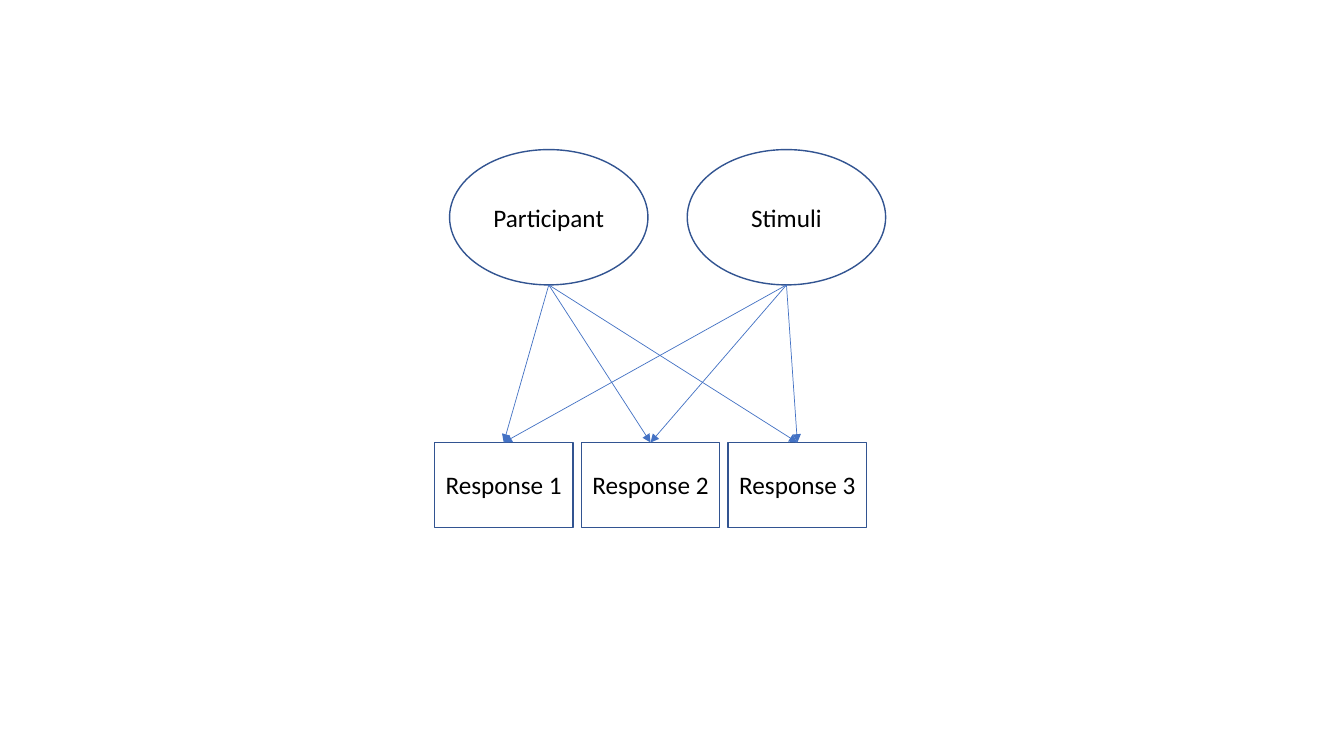
"""Build a diagram of crossed participant and stimulus effects on responses."""
from dataclasses import dataclass
from itertools import product

from lxml.etree import SubElement
from pptx import Presentation
from pptx.dml.color import RGBColor
from pptx.enum.shapes import MSO_CONNECTOR as Connector, MSO_SHAPE as Shape
from pptx.enum.text import MSO_ANCHOR as Anchor, PP_ALIGN as Align
from pptx.oxml.ns import qn
from pptx.util import Cm, Pt


@dataclass(frozen=True)
class Theme:
    font: str = "Calibri"
    text_size: float = 18
    text: str = "000000"
    fill: str = "FFFFFF"
    outline: str = "325491"
    outline_width: float = 1
    arrow: str = "4472C4"
    arrow_width: float = 0.5


def write_text(shape, text, *, font, size, color):
    frame = shape.text_frame
    frame.word_wrap = True
    frame.margin_left = frame.margin_right = Cm(0.1)
    frame.vertical_anchor = Anchor.MIDDLE
    paragraph = frame.paragraphs[0]
    paragraph.alignment = Align.CENTER
    run = paragraph.add_run()
    run.text = text
    run.font.name = font
    run.font.size = Pt(size)
    run.font.color.rgb = RGBColor.from_string(color)


class Diagram:
    def __init__(self, slide, theme):
        self.slide = slide
        self.theme = theme

    def node(self, kind, text, left, top, width, height):
        theme = self.theme
        shape = self.slide.shapes.add_shape(
            kind, Cm(left), Cm(top), Cm(width), Cm(height))
        shape.shadow.inherit = False
        shape.fill.solid()
        shape.fill.fore_color.rgb = RGBColor.from_string(theme.fill)
        shape.line.color.rgb = RGBColor.from_string(theme.outline)
        shape.line.width = Pt(theme.outline_width)
        write_text(shape, text, font=theme.font, size=theme.text_size,
                   color=theme.text)
        return shape

    def row(self, kind, labels, left, top, width, height, step):
        return [self.node(kind, label, left + index * step, top, width, height)
                for index, label in enumerate(labels)]

    def arrow(self, source, target):
        connector = self.slide.shapes.add_connector(
            Connector.STRAIGHT,
            source.left + source.width // 2, source.top + source.height,
            target.left + target.width // 2, target.top)
        connector.end_connect(target, 0)
        connector.line.color.rgb = RGBColor.from_string(self.theme.arrow)
        connector.line.width = Pt(self.theme.arrow_width)
        SubElement(connector.line._get_or_add_ln(), qn("a:tailEnd"),
                   type="triangle")
        SubElement(connector._element.spPr, qn("a:effectLst"))


def main():
    presentation = Presentation()
    presentation.slide_width = Cm(33.87)
    presentation.slide_height = Cm(19.05)
    slide = presentation.slides.add_slide(presentation.slide_layouts[6])
    diagram = Diagram(slide, Theme())
    factors = diagram.row(Shape.OVAL, ["Participant", "Stimuli"],
                          11.33, 3.77, 5, 3.41, step=5.99)
    responses = diagram.row(Shape.RECTANGLE,
                            [f"Response {number}" for number in range(1, 4)],
                            10.95, 11.15, 3.49, 2.14, step=3.7)
    for factor, response in product(factors, responses):
        diagram.arrow(factor, response)
    presentation.save("out.pptx")


if __name__ == "__main__":
    main()
